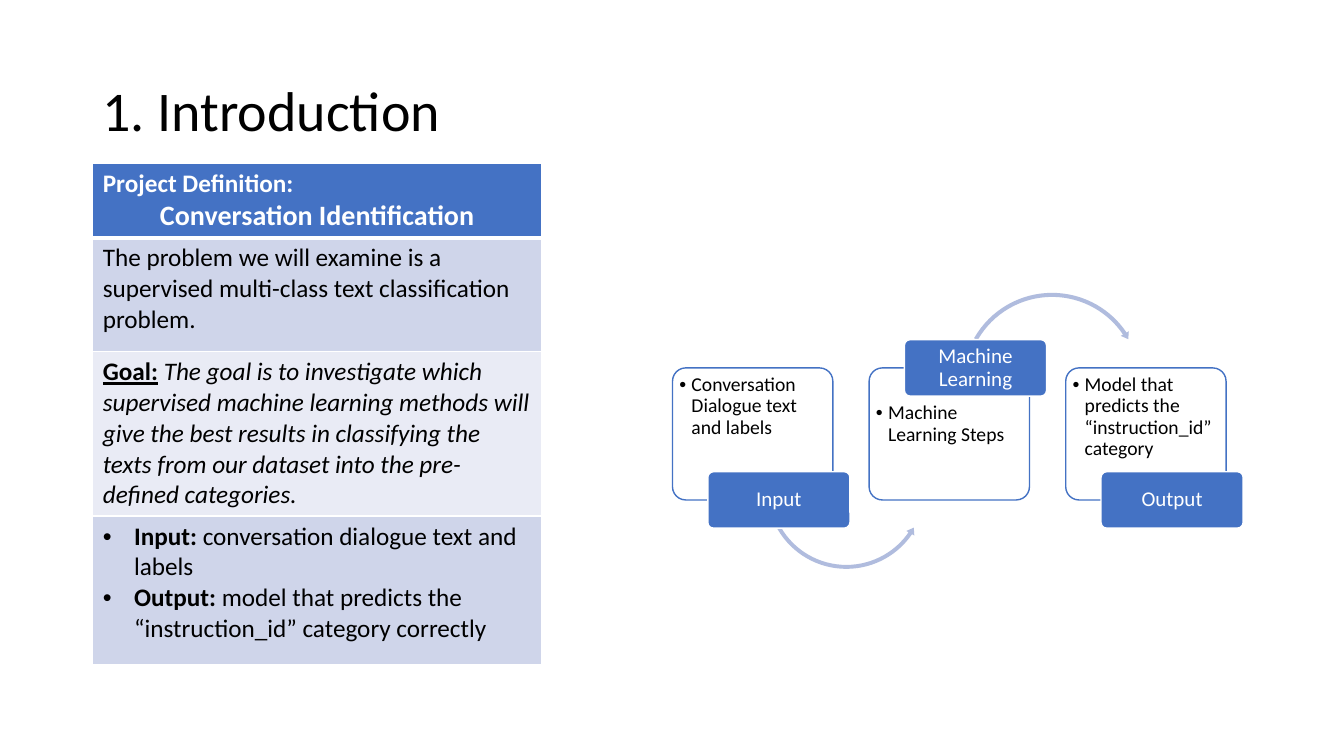
import dataclasses
import typing

import lxml.etree
import pptx
import pptx.dml.color
import pptx.enum.shapes
import pptx.enum.text
import pptx.oxml.ns
import pptx.util

Inches = pptx.util.Inches
qn = pptx.oxml.ns.qn
SHAPES = pptx.enum.shapes.MSO_SHAPE
ALIGN = pptx.enum.text.PP_ALIGN
ANCHOR = pptx.enum.text.MSO_ANCHOR


@dataclasses.dataclass(frozen=True)
class Theme:
    font: str = "Calibri"
    black: str = "000000"
    white: str = "FFFFFF"
    blue: str = "4472C4"
    arrow: str = "B0BCDE"
    band_dark: str = "CFD5EA"
    band_light: str = "E9EBF5"
    title_size: int = 40
    topic_size: int = 20
    table_size: int = 18
    label_size: int = 15
    card_size: int = 14


THEME = Theme()


class Run(typing.NamedTuple):
    text: str
    bold: bool = False
    italic: bool = False
    underline: bool = False


class Arc(typing.NamedTuple):
    """Curved arrow: thickness and head in percent of its size, angles in degrees."""
    kind: typing.Any
    left: float
    top: float
    size: float
    thickness: float
    head_angle: float
    end_angle: float
    start_angle: float
    head_width: float


class Step(typing.NamedTuple):
    label: str
    detail: str
    label_above: bool = False
    arc: typing.Optional[Arc] = None


class Row(typing.NamedTuple):
    height: float
    fill: str
    paragraphs: list[list[Run]]
    bulleted: bool = False


STEPS = [
    Step("Input", "Conversation Dialogue text and labels",
         arc=Arc(SHAPES.LEFT_CIRCULAR_ARROW, 7.58, 4.04, 1.63, 2.4, 4.88, 34.47, 150.41, 2.8)),
    Step("Machine Learning", "Machine Learning Steps", label_above=True,
         arc=Arc(SHAPES.CIRCULAR_ARROW, 9.52, 2.88, 1.83, 2.2, 4.32, 326.09, 209.59, 2.5)),
    Step("Output", "Model that predicts the “instruction_id” category"),
]

DEFINITION_ROWS = [
    Row(0.74, THEME.blue, []),
    Row(1.13, THEME.band_dark, [[Run(
        "The problem we will examine is a supervised multi-class text classification problem.")]]),
    Row(1.63, THEME.band_light, [[
        Run("Goal:", bold=True, underline=True),
        Run(" "),
        Run("The goal is to investigate which supervised machine learning methods will give the "
            "best results in classifying the texts from our dataset into the pre-defined "
            "categories.", italic=True)]]),
    Row(1.47, THEME.band_dark, [
        [Run("Input:", bold=True), Run(" conversation dialogue text and labels")],
        [Run("Output:", bold=True),
         Run(" model that predicts the “instruction_id” category correctly")]], bulleted=True),
]


def rgb(color: str) -> pptx.dml.color.RGBColor:
    return pptx.dml.color.RGBColor.from_string(color)


def write(frame, runs: list[Run], *, size: int, color: str = THEME.black, align=ALIGN.LEFT,
          spacing: float = 1.0, bullet_indent: float = 0, new_paragraph: bool = False) -> None:
    """Write one paragraph into a text frame."""
    paragraph = frame.add_paragraph() if new_paragraph else frame.paragraphs[0]
    paragraph.alignment = align
    paragraph.line_spacing = spacing
    if bullet_indent:
        properties = paragraph._p.get_or_add_pPr()
        properties.set("marL", str(Inches(bullet_indent)))
        properties.set("indent", str(-Inches(bullet_indent)))
        lxml.etree.SubElement(properties, qn("a:buFont"), typeface="Arial")
        lxml.etree.SubElement(properties, qn("a:buChar"), char="•")
    for part in runs:
        run = paragraph.add_run()
        run.text = part.text
        font = run.font
        font.name, font.size = THEME.font, pptx.util.Pt(size)
        font.bold, font.italic, font.underline = part.bold, part.italic, part.underline
        font.color.rgb = rgb(color)


def set_frame(frame, *, anchor, side: float, top: float, bottom: float) -> None:
    frame.word_wrap = True
    frame.vertical_anchor = anchor
    frame.margin_left = frame.margin_right = Inches(side)
    frame.margin_top, frame.margin_bottom = Inches(top), Inches(bottom)


def add_block(slide, kind, left: float, top: float, width: float, height: float, *,
              fill: str, line: typing.Optional[str] = None):
    block = slide.shapes.add_shape(kind, Inches(left), Inches(top), Inches(width), Inches(height))
    block.shadow.inherit = False
    block.fill.solid()
    block.fill.fore_color.rgb = rgb(fill)
    if line:
        block.line.color.rgb = rgb(line)
        block.line.width = pptx.util.Pt(1)
    else:
        block.line.fill.background()
    return block


def add_arc(slide, arc: Arc) -> None:
    arrow = add_block(slide, arc.kind, arc.left, arc.top, arc.size, arc.size, fill=THEME.arrow)
    degree = 0.6  # 60000 angle units per degree, on a scale of 100000
    values = (arc.thickness / 100, arc.head_angle * degree, arc.end_angle * degree,
              arc.start_angle * degree, arc.head_width / 100)
    for index, value in enumerate(values):
        arrow.adjustments[index] = value


def add_step(slide, step: Step, left: float) -> None:
    card_top, label_height = 3.65, 0.56
    # Card with the details
    card = add_block(slide, SHAPES.ROUNDED_RECTANGLE, left, card_top, 1.59, 1.31,
                     fill=THEME.white, line=THEME.blue)
    card.adjustments[0] = 0.1
    card_color = card._element.spPr.find(qn("a:solidFill"))[0]
    lxml.etree.SubElement(card_color, qn("a:alpha"), val="90000")
    set_frame(card.text_frame, anchor=ANCHOR.TOP, side=0.03,
              top=0.03 + label_height / 2 * step.label_above, bottom=0.03)
    write(card.text_frame, [Run(step.detail)], size=THEME.card_size, spacing=0.9,
          bullet_indent=0.12)
    # Arrow to the next step, behind the label
    if step.arc:
        add_arc(slide, step.arc)
    # Label straddling the edge of the card
    edge = card_top if step.label_above else card_top + 1.31
    label = add_block(slide, SHAPES.ROUNDED_RECTANGLE, left + 0.35, edge - label_height / 2,
                      1.41, label_height, fill=THEME.blue, line=THEME.white)
    label.adjustments[0] = 0.1
    set_frame(label.text_frame, anchor=ANCHOR.MIDDLE, side=0.03, top=0.02, bottom=0.02)
    write(label.text_frame, [Run(step.label)], size=THEME.label_size, color=THEME.white,
          align=ALIGN.CENTER, spacing=0.9)


def set_borders(cell, **widths: float) -> None:
    properties = cell._tc.get_or_add_tcPr()
    for side in "LRTB":
        width = pptx.util.Pt(widths.get(side, 1))
        border = lxml.etree.SubElement(properties, qn(f"a:ln{side}"), w=str(width))
        fill = lxml.etree.SubElement(border, qn("a:solidFill"))
        lxml.etree.SubElement(fill, qn("a:srgbClr"), val=THEME.white)


def add_definition(slide) -> None:
    height = sum(row.height for row in DEFINITION_ROWS)
    table = slide.shapes.add_table(len(DEFINITION_ROWS), 1, Inches(0.92), Inches(1.62),
                                   Inches(4.45), Inches(height)).table
    table.first_row = table.horz_banding = False
    for index, row in enumerate(DEFINITION_ROWS):
        table.rows[index].height = Inches(row.height)
        cell = table.cell(index, 0)
        set_borders(cell, T=3 if index == 1 else 1, B=3 if index == 0 else 1)
        cell.fill.solid()
        cell.fill.fore_color.rgb = rgb(row.fill)
        for number, runs in enumerate(row.paragraphs):
            write(cell.text_frame, runs, size=THEME.table_size,
                  bullet_indent=0.31 if row.bulleted else 0, new_paragraph=number > 0)
    # Heading cell
    heading = table.cell(0, 0).text_frame
    write(heading, [Run("Project Definition:", bold=True)], size=THEME.table_size,
          color=THEME.white)
    write(heading, [Run("Conversation Identification", bold=True)], size=THEME.topic_size,
          color=THEME.white, align=ALIGN.CENTER, new_paragraph=True)


def main() -> None:
    deck = pptx.Presentation()
    deck.slide_width, deck.slide_height = Inches(13.33), Inches(7.5)
    slide = deck.slides.add_slide(deck.slide_layouts[6])
    # Process diagram
    for index, step in enumerate(STEPS):
        add_step(slide, step, 6.67 + 1.95 * index)
    # Title
    title = slide.shapes.add_textbox(Inches(0.92), Inches(0.4), Inches(11.5), Inches(1.45))
    set_frame(title.text_frame, anchor=ANCHOR.MIDDLE, side=0.1, top=0.05, bottom=0.05)
    write(title.text_frame, [Run("1. Introduction")], size=THEME.title_size, spacing=0.9)
    # Project definition table
    add_definition(slide)
    deck.save("out.pptx")


if __name__ == "__main__":
    main()
